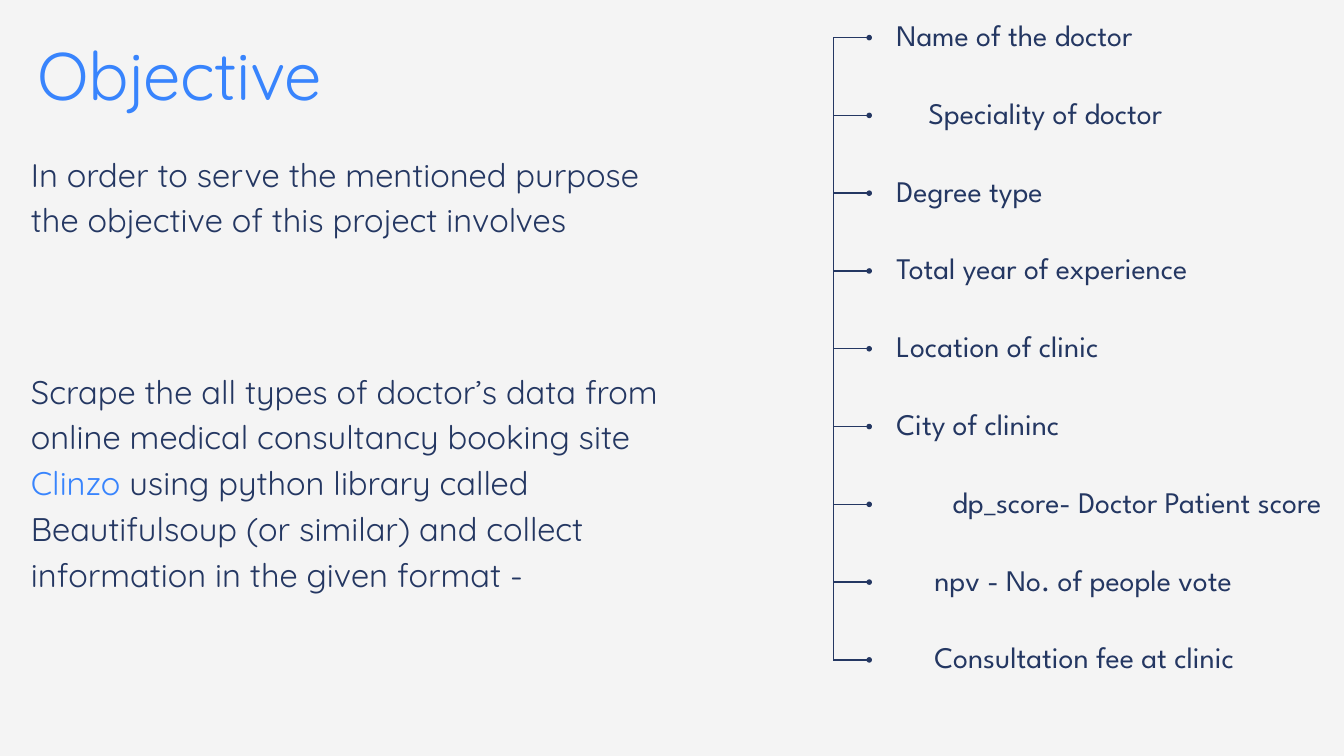
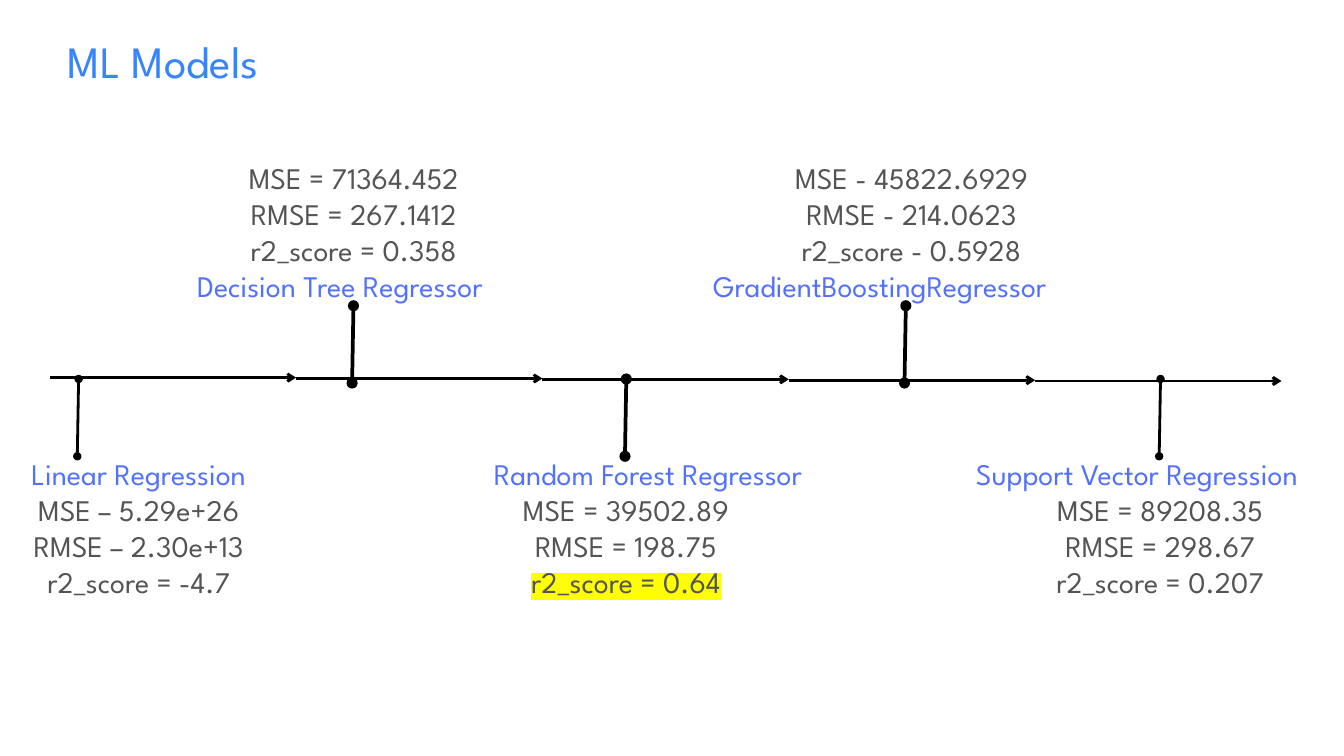
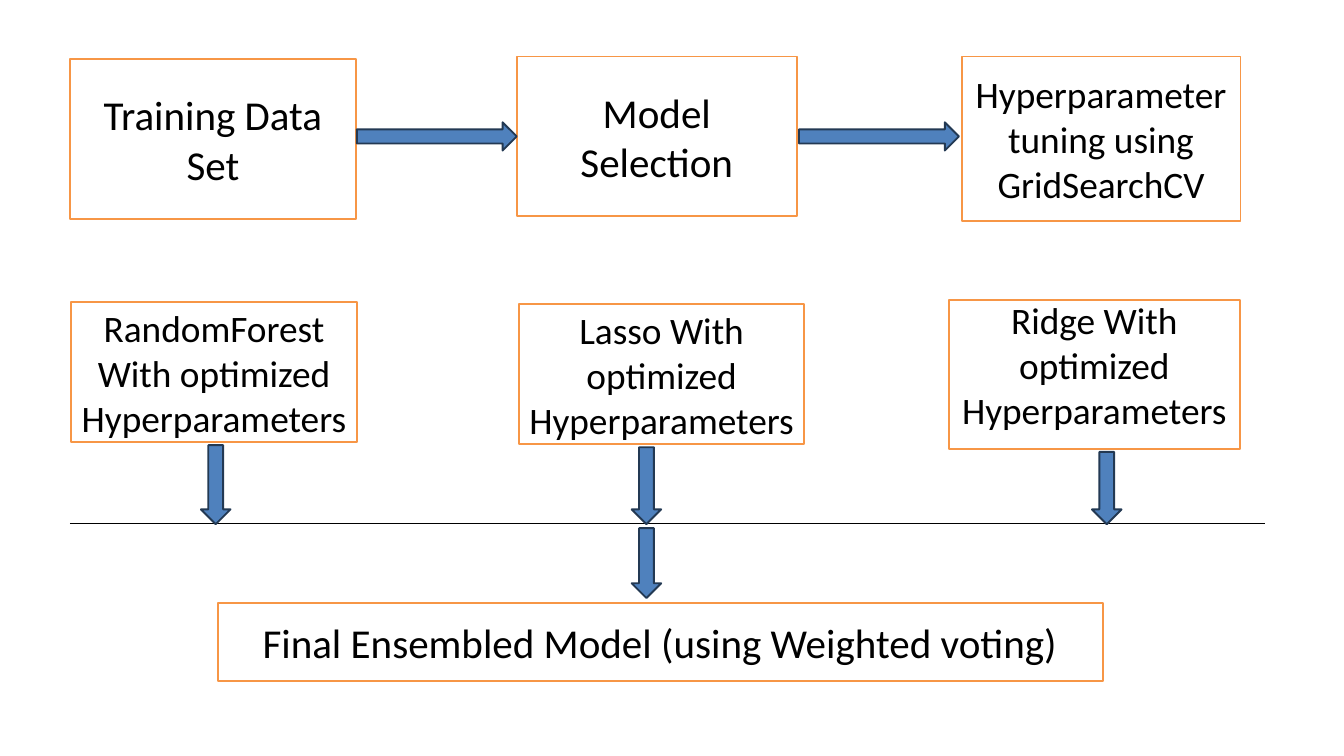
from dataclasses import dataclass, replace

from lxml.etree import SubElement as Sub
from pptx import Presentation
from pptx.dml.color import RGBColor
from pptx.enum.shapes import MSO_CONNECTOR as Link, MSO_SHAPE as Kind
from pptx.enum.text import MSO_ANCHOR as Anchor, MSO_AUTO_SIZE as Auto, PP_ALIGN as Align
from pptx.oxml.ns import qn
from pptx.util import Inches, Pt

COLS, ROWS, CELL = 80, 45, 0.25
NAVY, BLUE, SKY, GREY = "243762", "3884FD", "5271FF", "545454"
BLACK, WHITE, PALE, GOLD = "000000", "FFFFFF", "F4F4F4", "FFFF00"
AMBER, STEEL, EDGE = "F79646", "4F81BD", "233953"


@dataclass
class Look:
    size: float
    font: str
    color: str
    lead: float = 0
    align: Align = Align.LEFT


@dataclass
class Box:
    x: float
    y: float
    w: float
    h: float

    def inner(self, x, y, w, h):
        return Box(self.x + x, self.y + y, w, h)

    def size(self):
        return [grid(n) for n in (self.x, self.y, self.w, self.h)]


HEAD = Look(72, "Quicksand", BLUE, 79.2)
TOPIC = Look(48, "League Spartan", BLUE, 76.8, Align.CENTER)
PROSE = Look(35, "Quicksand", NAVY, 49)
FIELD = Look(32, "League Spartan", NAVY, 38.4)
NAME = replace(FIELD, color=SKY, align=Align.CENTER)
FACT = replace(NAME, color=GREY)
CARD = Look(40, "Calibri", BLACK, 0, Align.CENTER)
LARGE = replace(CARD, size=44)

FIELDS = [
    ("Name of the doctor", Align.LEFT, 20.12),
    ("Speciality of doctor", Align.RIGHT, 15.84),
    ("Degree type", Align.LEFT, 20.12),
    ("Total year of experience", Align.LEFT, 20.12),
    ("Location of clinic", Align.LEFT, 20.12),
    ("City of clininc", Align.LEFT, 20.12),
    ("dp_score- Doctor Patient score", Align.RIGHT, 25.32),
    ("npv - No. of people vote", Align.RIGHT, 20),
    ("Consultation fee at clinic", Align.RIGHT, 20.12),
]

MODELS = [
    ("Linear Regression", 0.92, 14.68, 4.64, 3, 0.16,
     ["MSE – 5.29e+26", "RMSE – 2.30e+13", "r2_score = -4.7"]),
    ("Decision Tree Regressor", 10.28, 19.92, 21, 4, 12.96,
     ["MSE = 71364.452", "RMSE = 267.1412", "r2_score = 0.358"]),
    ("Random Forest Regressor", 27.92, 21.32, 37.24, 4, 29.16,
     ["MSE = 39502.89", "RMSE = 198.75", "r2_score = 0.64"]),
    ("GradientBoostingRegressor", 41, 22.76, 53.88, 4, 46.16,
     ["MSE - 45822.6929", "RMSE - 214.0623", "r2_score - 0.5928"]),
    ("Support Vector Regression", 55.36, 24.64, 69.04, 3, 60.96,
     ["MSE = 89208.35", "RMSE = 298.67", "r2_score = 0.207"]),
]

STAGES = [
    (Box(4.16, 3.52, 17.04, 9.52), "Training Data Set", LARGE),
    (Box(30.76, 3.36, 16.68, 9.52), "Model Selection", LARGE),
    (Box(57.24, 3.36, 16.6, 9.8), "Hyperparameter tuning using GridSearchCV", CARD),
]
TUNED = [
    (Box(4.24, 18, 17, 8.32), "RandomForest With optimized Hyperparameters", 0.05),
    (Box(30.88, 18.12, 17, 8.32), "Lasso With optimized Hyperparameters", 0.05),
    (Box(56.48, 17.88, 17.32, 8.84), "Ridge With optimized Hyperparameters", 0.35),
]


def grid(n):
    return Inches(n * CELL)


def rgb(code):
    return RGBColor.from_string(code)


def write(frame, lines, look):
    frame.word_wrap = True
    frame.auto_size = Auto.NONE
    for i, line in enumerate(lines):
        para = frame.paragraphs[0] if i == 0 else frame.add_paragraph()
        para.alignment = look.align
        para.space_before = Pt(0)
        if look.lead:
            para.line_spacing = Pt(look.lead)
        for text in line.split("|"):
            run = para.add_run()
            run.text = text
            run.font.size = Pt(look.size)
            run.font.color.rgb = rgb(look.color)
            run.font.name = look.font


def bare(frame):
    frame.margin_left = frame.margin_right = 0
    frame.margin_top = frame.margin_bottom = 0
    frame.vertical_anchor = Anchor.TOP


def label(slide, box, lines, look):
    frame = slide.shapes.add_textbox(*box.size()).text_frame
    bare(frame)
    write(frame, lines, look)
    return frame


def hold(shape, box, text, look):
    shape.left, shape.top, shape.width, shape.height = box.size()
    frame = shape.text_frame
    bare(frame)
    props = frame.paragraphs[0]._p.get_or_add_pPr()
    props.set("marL", "0")
    props.set("indent", "0")
    Sub(props, qn("a:buNone"))
    write(frame, [text], look)
    return frame.paragraphs[0].runs


def stroke(slide, ends, color, weight, head=None, tail=None):
    line = slide.shapes.add_connector(Link.STRAIGHT, *[grid(n) for n in ends])
    line.line.color.rgb = rgb(color)
    line.line.width = Pt(weight)
    props = line._element.spPr
    for tag, tip in (("a:headEnd", head), ("a:tailEnd", tail)):
        if tip:
            Sub(props.find(qn("a:ln")), qn(tag), type=tip)
    Sub(props, qn("a:effectLst"))


def solid(slide, kind, box, fill, edge):
    shape = slide.shapes.add_shape(kind, *box.size())
    shape.shadow.inherit = False
    shape.fill.solid()
    shape.fill.fore_color.rgb = rgb(fill)
    shape.line.color.rgb = rgb(edge)
    shape.line.width = Pt(2)
    return shape


def card(slide, box, text, look, foot=0.05):
    frame = solid(slide, Kind.RECTANGLE, box, WHITE, AMBER).text_frame
    frame.vertical_anchor = Anchor.MIDDLE
    frame.margin_bottom = Inches(foot)
    write(frame, [text], look)


def arrow(slide, kind, box):
    solid(slide, kind, box, STEEL, EDGE)


def fields(slide, box):
    stroke(slide, (box.x, box.y + box.h, box.x, box.y), NAVY, 1.5)
    step = box.h / (len(FIELDS) - 1)
    for i, (text, align, wide) in enumerate(FIELDS):
        y = box.y + i * step
        stroke(slide, (box.x, y, box.x + 2.14, y), NAVY, 1.5, tail="oval")
        spot = box.inner(3.76, i * step - 1.24, wide, 2.12)
        label(slide, spot, [text], replace(FIELD, align=align))


def track(slide, box):
    step = box.w / len(MODELS)
    for i in range(len(MODELS)):
        x, y = box.x + i * step, box.y + i * 0.05
        stroke(slide, (x, y, x + step, y), BLACK, 3, tail="arrow")


def model(slide, box, row, above):
    name, left, wide, pin, weight, start, facts = row
    top, title, body = (8.8, 6.56, 0.12) if above else (13.16, 17.72, 19.88)
    x, y = box.x + pin, box.y + top
    stroke(slide, (x + 0.04, y, x - 0.04, y + 4.6), BLACK, weight, "oval", "oval")
    label(slide, box.inner(left, title, wide, 2.12), [name], NAME)
    return label(slide, box.inner(start, body, 16.2, 6.36), facts, FACT)


def mark(run):
    tint = Sub(run._r.get_or_add_rPr(), qn("a:highlight"))
    Sub(tint, qn("a:srgbClr"), val=GOLD)
    run._r.rPr.find(qn("a:latin")).addprevious(tint)


def page(deck, layout, color=WHITE):
    slide = deck.slides.add_slide(deck.slide_layouts[layout])
    slide.background.fill.solid()
    slide.background.fill.fore_color.rgb = rgb(color)
    return slide


def goal(deck):
    slide = page(deck, 3, PALE)
    title, intro, task = slide.placeholders
    runs = hold(title, Box(2.24, 2.4, 18.48, 4.48), "Objective", HEAD)
    runs[0]._r.get_or_add_rPr().set("spc", "-70")
    left = Box(1.84, 8.8, 37.76, 26.32)
    hold(intro, left.inner(0, 0, left.w, 5.28),
         "In order to serve the mentioned purpose the objective of this project involves", PROSE)
    runs = hold(task, left.inner(0, 12.92, left.w, 13.4),
                "Scrape the all types of doctor’s data from online medical consultancy "
                "booking site |Clinzo| using python library called Beautifulsoup "
                "(or similar) and collect information in the given format -", PROSE)
    runs[1].font.color.rgb = rgb(BLUE)
    fields(slide, Box(49.6, 2.24, 29.08, 37.04))


def scores(deck):
    slide = page(deck, 5)
    hold(slide.shapes.title, Box(0.92, 0.92, 17.6, 4.04), "ML Models", TOPIC)
    track(slide, Box(2.96, 22.48, 73.32, 0))
    area = Box(0, 9.4, COLS, 26.24)
    frames = [model(slide, area, row, i % 2 == 1) for i, row in enumerate(MODELS)]
    mark(frames[2].paragraphs[2].runs[0])


def flow(deck):
    slide = page(deck, 6)
    for box, text, look in STAGES:
        card(slide, box, text, look)
    for x in (21.24, 47.56):
        arrow(slide, Kind.RIGHT_ARROW, Box(x, 7.28, 9.52, 1.68))
    for box, text, foot in TUNED:
        card(slide, box, text, CARD, foot)
    stroke(slide, (4.16, 31.16, 75.32, 31.16), BLACK, 0.75)
    for (box, _, _), x in zip(TUNED, (11.96, 37.6, 65)):
        y = box.y + box.h + 0.18
        arrow(slide, Kind.DOWN_ARROW, Box(x, y, 1.76, 31.2 - y))
    arrow(slide, Kind.DOWN_ARROW, Box(37.6, 31.44, 1.76, 4.16))
    card(slide, Box(12.96, 35.88, 52.68, 4.68),
         "Final Ensembled Model (using Weighted voting)", LARGE)


def main():
    deck = Presentation()
    deck.slide_width, deck.slide_height = grid(COLS), grid(ROWS)
    for build in (goal, scores, flow):
        build(deck)
    deck.save("out.pptx")


if __name__ == "__main__":
    main()
